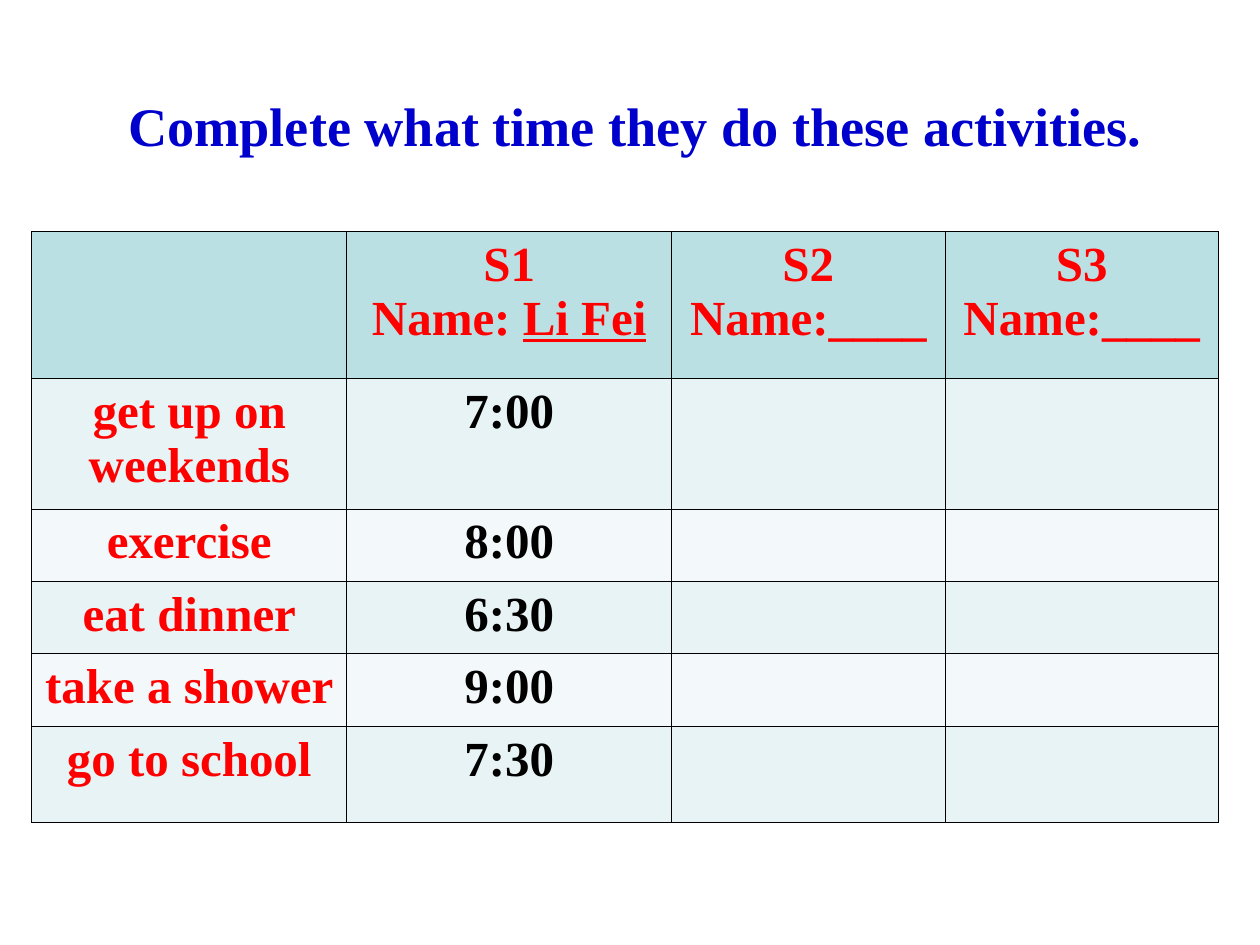
from dataclasses import dataclass

from lxml import etree
from pptx import Presentation
from pptx import util as u
from pptx.dml.color import RGBColor
from pptx.enum import text
from pptx.oxml import ns


@dataclass(frozen=True)
class Theme:
    """Colours, font and type sizes of the slide."""
    font: str = "Times New Roman"
    title_size: int = 31
    cell_size: int = 28
    border_width: float = 0.45
    title: str = "0000CC"
    label: str = "FF0000"
    time: str = "000000"
    border: str = "000000"
    header_fill: str = "BBE0E3"
    band_fills: tuple = ("E7F3F4", "F3F9FA")


THEME = Theme()
COL_WIDTHS = (6.35, 6.55, 5.51, 5.51)
ROW_HEIGHTS = (2.97, 2.63, 1.46, 1.46, 1.46, 1.93)
HEADERS = ("", "S1\nName: Li Fei", "S2\nName:____", "S3\nName:____")
ACTIVITIES = (
    ("get up on weekends", "7:00"),
    ("exercise", "8:00"),
    ("eat dinner", "6:30"),
    ("take a shower", "9:00"),
    ("go to school", "7:30"),
)


def format_run(r, size, color):
    """Apply the bold slide font to a run."""
    r.font.name = THEME.font
    r.font.size = u.Pt(size)
    r.font.bold = True
    r.font.color.rgb = RGBColor.from_string(color)


def add_title(slide, title):
    """Add the instruction line above the table."""
    sp = slide.shapes.add_textbox(u.Cm(2.34), u.Cm(1.47), u.Cm(21.6), u.Cm(1.83))
    tf = sp.text_frame
    tf.word_wrap = True
    tf.auto_size = text.MSO_AUTO_SIZE.SHAPE_TO_FIT_TEXT
    tf.text = title
    p = tf.paragraphs[0]
    p.line_spacing = 1.2
    format_run(p.runs[0], THEME.title_size, THEME.title)


def add_borders(cell):
    """Draw a thin line on all four sides of a cell."""
    tc_pr = cell._tc.get_or_add_tcPr()
    for side in ("a:lnL", "a:lnR", "a:lnT", "a:lnB"):
        ln = etree.SubElement(tc_pr, ns.qn(side), w=str(u.Pt(THEME.border_width)))
        fill = etree.SubElement(ln, ns.qn("a:solidFill"))
        etree.SubElement(fill, ns.qn("a:srgbClr"), val=THEME.border)


def style_cell(cell, fill, content, color):
    """Fill, border and write one table cell."""
    add_borders(cell)
    cell.fill.solid()
    cell.fill.fore_color.rgb = RGBColor.from_string(fill)
    if not content:
        return
    cell.text_frame.text = content
    for p in cell.text_frame.paragraphs:
        p.alignment = text.PP_ALIGN.CENTER
        for r in p.runs:
            format_run(r, THEME.cell_size, color)


def underline_name(cell, name):
    """Split the name off the last line of a cell and underline it."""
    p = cell.text_frame.paragraphs[-1]
    p.runs[0].text = p.runs[0].text.removesuffix(name)
    r = p.add_run()
    r.text = name
    format_run(r, THEME.cell_size, THEME.label)
    r.font.underline = True


def add_schedule(slide):
    """Add the table of activities and times."""
    sp = slide.shapes.add_table(
        len(ROW_HEIGHTS), len(COL_WIDTHS), u.Cm(0.64), u.Cm(4.66),
        u.Cm(sum(COL_WIDTHS)), u.Cm(sum(ROW_HEIGHTS)))
    table = sp.table
    for column, width in zip(table.columns, COL_WIDTHS):
        column.width = u.Cm(width)
    for row, height in zip(table.rows, ROW_HEIGHTS):
        row.height = u.Cm(height)
    for cell, header in zip(table.rows[0].cells, HEADERS):
        style_cell(cell, THEME.header_fill, header, THEME.label)
    underline_name(table.cell(0, 1), "Li Fei")
    for i, (activity, time) in enumerate(ACTIVITIES):
        contents = (activity, time, "", "")
        for j, content in enumerate(contents):
            color = THEME.time if j else THEME.label
            style_cell(table.cell(i + 1, j), THEME.band_fills[i % 2], content, color)


def main():
    """Build and save the slide."""
    prs = Presentation()
    prs.slide_width, prs.slide_height = u.Cm(25.4), u.Cm(19.05)
    slide = prs.slides.add_slide(prs.slide_layouts[6])
    add_title(slide, "Complete what time they do these activities.")
    add_schedule(slide)
    prs.save("out.pptx")


main()
